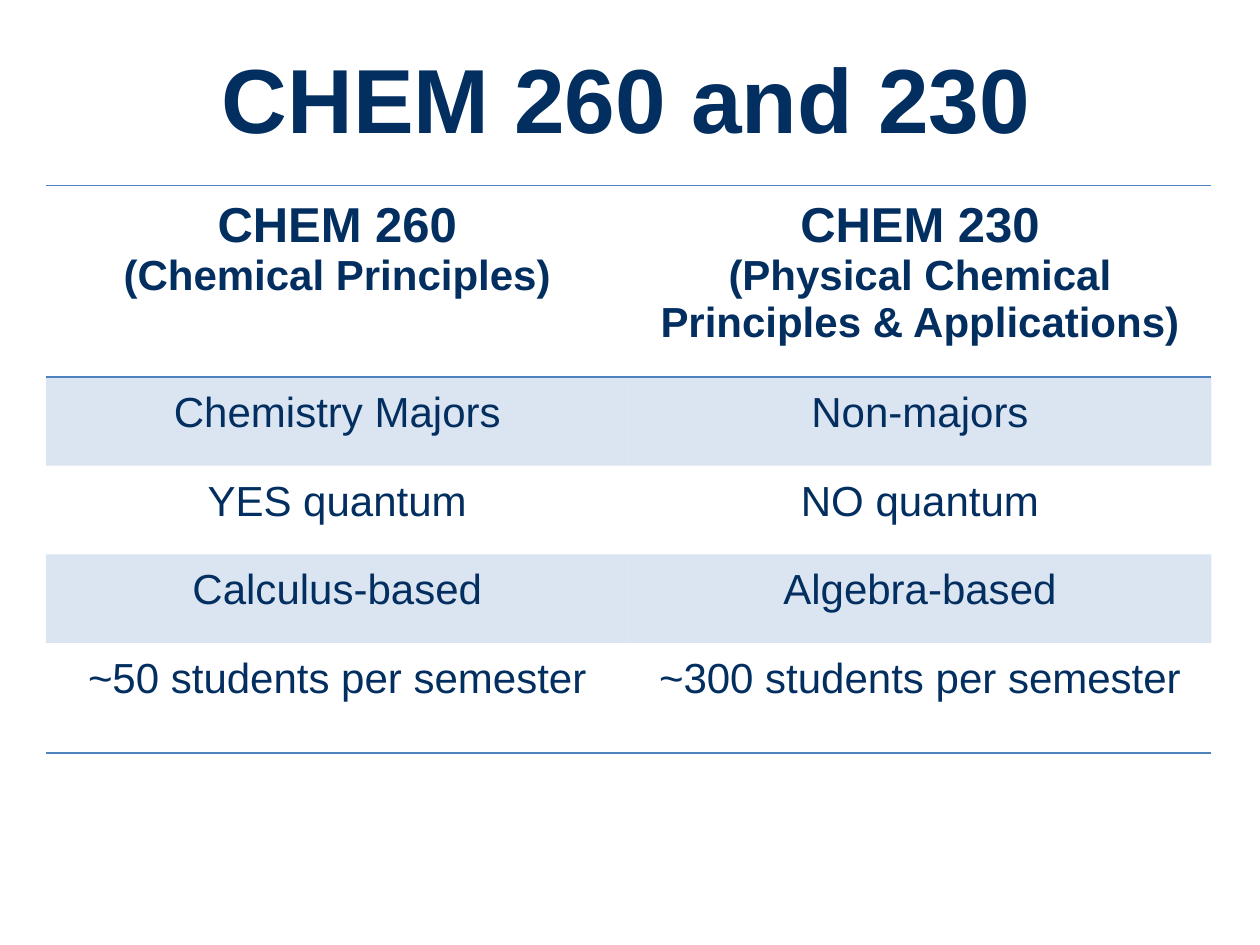
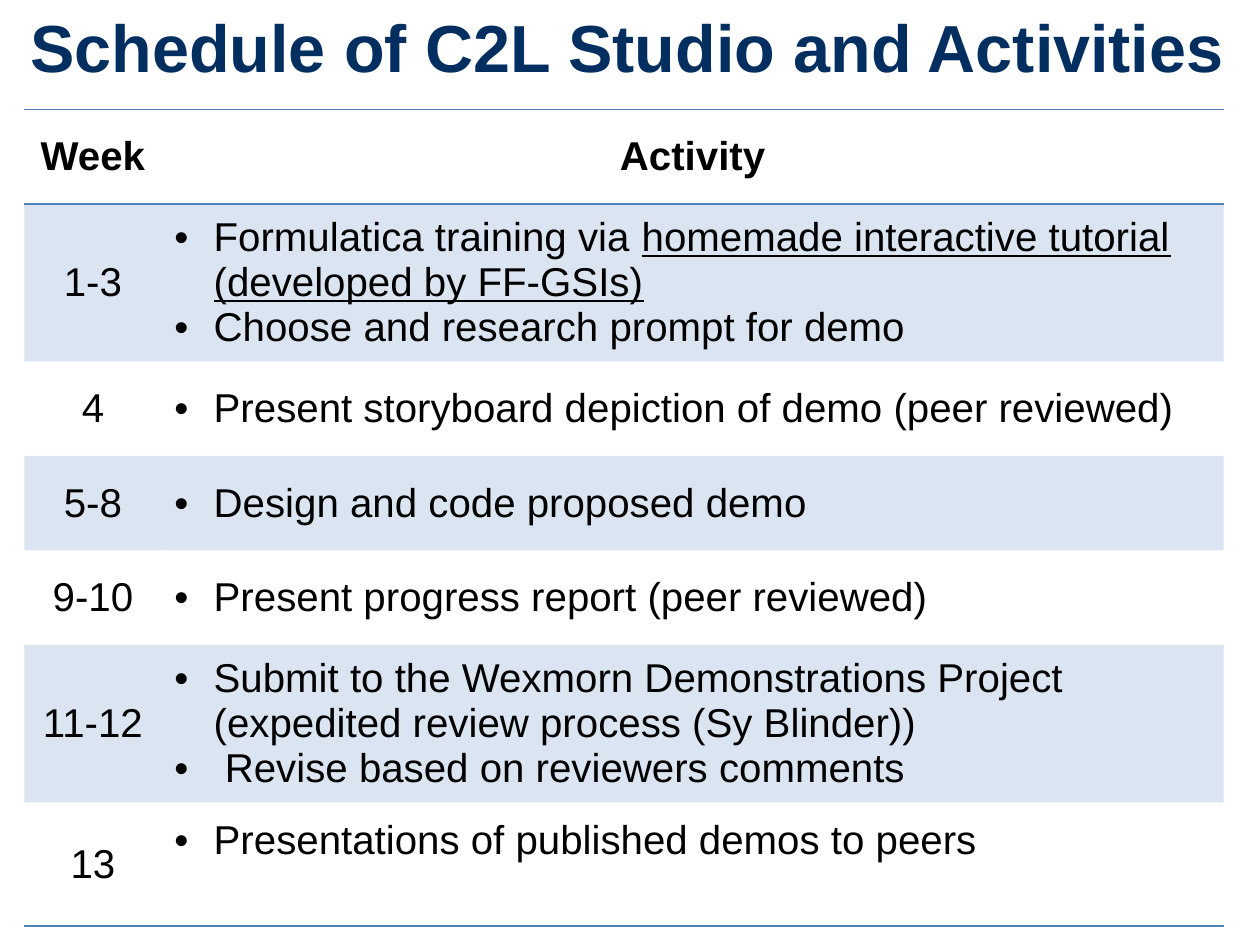
"""Build two slides: a course comparison and a studio schedule."""
import dataclasses

import pptx
import pptx.dml.color
import pptx.enum.text
import pptx.oxml
import pptx.oxml.ns
import pptx.util


@dataclasses.dataclass(frozen=True)
class Theme:
    font: str = "Arial"
    navy: str = "032E60"
    black: str = "000000"
    accent: str = "4F81BD"
    band_alpha: int = 20000
    rule_width: int = 1
    bullet_indent: float = 22.5
    course_title: int = 52
    course_name: int = 28
    course_text: int = 24
    schedule_title: int = 38
    schedule_text: int = 23
    plain_table: str = "{2D5ABB26-0587-4C30-8999-92F81FD0307C}"


theme = Theme()
Pt = pptx.util.Pt
qn = pptx.oxml.ns.qn
Anchor = pptx.enum.text.MSO_ANCHOR
Align = pptx.enum.text.PP_ALIGN
NAMESPACE = pptx.oxml.ns.nsdecls("a")


def write_runs(para, runs, size, color, bold):
    for text, changes in runs:
        span = para.add_run()
        span.text = text
        formats = {"name": theme.font, "size": Pt(size), "bold": bold, **changes}
        for name, value in formats.items():
            setattr(span.font, name, value)
        span.font.color.rgb = pptx.dml.color.RGBColor.from_string(color)


def draw_rule(cell, side):
    rule = pptx.oxml.parse_xml(
        f'<a:{side} {NAMESPACE} w="{Pt(theme.rule_width)}"><a:solidFill>'
        f'<a:srgbClr val="{theme.accent}"/></a:solidFill></a:{side}>')
    cell._tc.get_or_add_tcPr().insert(0, rule)


name_size = {"size": Pt(theme.course_name)}
course_rows = [
    [[[("CHEM 260", name_size)], [("(Chemical Principles)", {})]],
     [[("CHEM 230", name_size)], [("(Physical Chemical Principles & Applications)", {})]]],
    *[[[[(text, {})]] for text in pair] for pair in [
        ("Chemistry Majors", "Non-majors"),
        ("YES quantum", "NO quantum"),
        ("Calculus-based", "Algebra-based"),
        ("~50 students per semester", "~300 students per semester"),
    ]],
]

schedule = [
    ("Week", [[("Activity", {})]]),
    ("1-3", [[("Formulatica training via ", {}),
              ("homemade interactive tutorial (developed by FF-GSIs)", {"underline": True})],
             [("Choose and research prompt for demo", {})]]),
    ("4", [[("Present storyboard depiction of demo (peer reviewed)", {})]]),
    ("5-8", [[("Design and code proposed demo", {})]]),
    ("9-10", [[("Present progress report (peer reviewed)", {})]]),
    ("11-12", [[("Submit to the Wexmorn Demonstrations Project "
                 "(expedited review process (Sy Blinder))", {})],
               [(" Revise based on reviewers comments", {})]]),
    ("13", [[("Presentations of published demos to peers", {})]]),
]
schedule_rows = [[[[(week, {})]], activities] for week, activities in schedule]

pages = [
    {"title": "CHEM 260 and 230", "title_size": theme.course_title,
     "title_place": (119.5, 20.9, 481, 70.6), "rows": course_rows,
     "table_place": (26.2, 106, 666, 324.4), "widths": (333, 333),
     "heights": (109.4, 50.7, 50.7, 50.7, 62.9), "size": theme.course_text,
     "color": theme.navy, "anchor": Anchor.TOP, "inset": 7.2, "bulleted": False},
    {"title": "Schedule of C2L Studio and Activities", "title_size": theme.schedule_title,
     "title_place": (10, 0, 702.7, 53.3), "rows": schedule_rows,
     "table_place": (13.9, 62.6, 685.4, 465.8), "widths": (78.5, 606.9),
     "heights": (54, 89.6, 54, 54, 54, 89.6, 70.6), "size": theme.schedule_text,
     "color": theme.black, "anchor": Anchor.MIDDLE, "inset": 3.6, "bulleted": True},
]

deck = pptx.Presentation()
deck.slide_width, deck.slide_height = Pt(720), Pt(540)

for page in pages:
    slide = deck.slides.add_slide(deck.slide_layouts[5])
    title = slide.shapes.title
    for side, length in zip(("left", "top", "width", "height"), page["title_place"]):
        setattr(title, side, Pt(length))
    frame = title.text_frame
    frame.word_wrap = False
    frame.auto_size = pptx.enum.text.MSO_AUTO_SIZE.SHAPE_TO_FIT_TEXT
    frame.vertical_anchor = Anchor.TOP
    frame.paragraphs[0].alignment = Align.LEFT
    write_runs(frame.paragraphs[0], [(page["title"], {})], page["title_size"], theme.navy, True)

    rows = page["rows"]
    holder = slide.shapes.add_table(len(rows), 2, *map(Pt, page["table_place"]))
    table = holder.table
    table.horz_banding = False
    next(holder.element.iter(qn("a:tableStyleId"))).text = theme.plain_table
    for column, width in zip(table.columns, page["widths"]):
        column.width = Pt(width)
    for row, height in zip(table.rows, page["heights"]):
        row.height = Pt(height)

    for row_index, row in enumerate(rows):
        header, last = row_index == 0, row_index == len(rows) - 1
        for column_index, paragraphs in enumerate(row):
            cell = table.cell(row_index, column_index)
            bulleted = page["bulleted"] and column_index == 1 and not header
            cell.vertical_anchor = page["anchor"]
            cell.margin_top = cell.margin_bottom = Pt(page["inset"])
            if bulleted and last:
                cell.vertical_anchor = Anchor.TOP
                cell.margin_top = Pt(9)
            if row_index % 2:
                cell.fill.solid()
                cell.fill.fore_color.rgb = pptx.dml.color.RGBColor.from_string(theme.accent)
                band = next(cell._tc.iter(qn("a:srgbClr")))
                band.append(pptx.oxml.parse_xml(f'<a:alpha {NAMESPACE} val="{theme.band_alpha}"/>'))
            else:
                cell.fill.background()
            if header or last:
                draw_rule(cell, "lnB")
            if header:
                draw_rule(cell, "lnT")

            for index, runs in enumerate(paragraphs):
                box = cell.text_frame
                para = box.add_paragraph() if index else box.paragraphs[0]
                para.alignment = Align.LEFT if bulleted else Align.CENTER
                write_runs(para, runs, page["size"], page["color"], header)
                if bulleted:
                    settings = para._p.get_or_add_pPr()
                    settings.set("marL", str(Pt(theme.bullet_indent)))
                    settings.set("indent", str(-Pt(theme.bullet_indent)))
                    for tag in (f'buFont {NAMESPACE} typeface="{theme.font}"',
                                f'buChar {NAMESPACE} char="•"'):
                        settings.append(pptx.oxml.parse_xml(f"<a:{tag}/>"))

deck.save("out.pptx")
